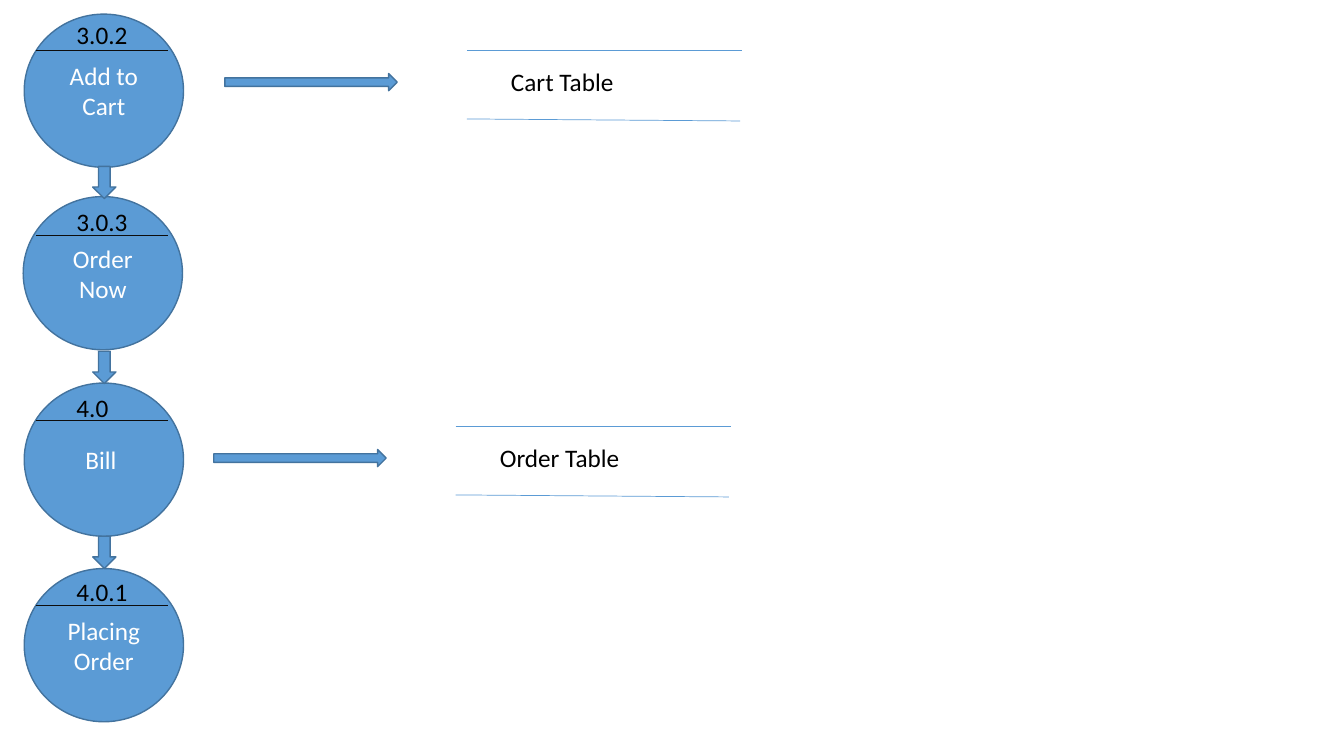
from pptx import Presentation
from pptx.dml.color import RGBColor
from pptx.enum.shapes import MSO_CONNECTOR, MSO_SHAPE
from pptx.enum.text import MSO_ANCHOR, PP_ALIGN
from pptx.oxml.ns import qn
from pptx.util import Inches, Pt
from lxml.etree import SubElement

BLUE, EDGE, RULE = "5B9BD5", "43739E", "0D0D0D"
PITCH = 1.835
STEPS = [
    (0.24, 0.14, 0.14, "3.0.2", "Add to Cart"),
    (0.23, 1.95, 2.0, "3.0.3", "Order Now"),
    (0.24, 3.8, 3.84, "4.0", "Bill "),
    (0.24, 5.64, 5.67, "4.0.1", "Placing Order"),
]
STORES = [(2.23, 0.5, "Cart Table"), (2.12, 4.23, "Order Table")]


def color(code):
    return RGBColor.from_string(code)


def style(frame, code):
    for para in frame.paragraphs:
        for run in para.runs:
            run.font.name = "Calibri"
            run.font.size = Pt(18)
            run.font.color.rgb = color(code)


def shape(slide, kind, left, top, width, height):
    item = slide.shapes.add_shape(
        kind, Inches(left), Inches(top), Inches(width), Inches(height))
    item.shadow.inherit = False
    item.fill.solid()
    item.fill.fore_color.rgb = color(BLUE)
    item.line.color.rgb = color(EDGE)
    item.line.width = Pt(1)
    return item


def line(slide, left, top, right, bottom, code):
    item = slide.shapes.add_connector(
        MSO_CONNECTOR.STRAIGHT,
        Inches(left), Inches(top), Inches(right), Inches(bottom))
    item.line.color.rgb = color(code)
    item.line.width = Pt(0.5)
    SubElement(item._element.spPr, qn("a:effectLst"))


def label(slide, left, top, width, text):
    box = slide.shapes.add_textbox(
        Inches(left), Inches(top), Inches(width), Inches(0.4))
    frame = box.text_frame
    frame.word_wrap = False
    frame.text = text
    style(frame, "000000")


def circle(slide, left, top, name):
    item = shape(slide, MSO_SHAPE.OVAL, left, top, 1.58, 1.52)
    frame = item.text_frame
    frame.word_wrap = True
    frame.vertical_anchor = MSO_ANCHOR.MIDDLE
    frame.text = name
    frame.paragraphs[0].alignment = PP_ALIGN.CENTER
    style(frame, "FFFFFF")


def flow(slide, left, top):
    for x, y, _, _, name in STEPS:
        circle(slide, x, y, name)
    for i, (_, _, y, code, _) in enumerate(STEPS):
        rule = top + 0.36 + i * PITCH
        line(slide, left + 0.12, rule, left + 1.43, rule, RULE)
        label(slide, left + 0.42, y, 0.71 if len(code) > 3 else 0.52, code)
        if i < len(STEPS) - 1:
            shape(slide, MSO_SHAPE.DOWN_ARROW,
                  left + 0.68, top + 1.51 + i * PITCH, 0.23, 0.32)


def store(slide, left, top, name):
    shape(slide, MSO_SHAPE.RIGHT_ARROW, left, top + 0.23, 1.71, 0.17)
    edge = left + 2.4
    line(slide, edge, top, edge + 2.73, top, BLUE)
    line(slide, edge, top + 0.68, edge + 2.71, top + 0.7, BLUE)
    label(slide, edge + 0.34, top + 0.11, 1.4, name)


def main():
    deck = Presentation()
    deck.slide_width, deck.slide_height = Inches(13.33), Inches(7.5)
    slide = deck.slides.add_slide(deck.slide_layouts[6])
    flow(slide, 0.24, 0.14)
    for left, top, name in STORES:
        store(slide, left, top, name)
    deck.save("out.pptx")


if __name__ == "__main__":
    main()
